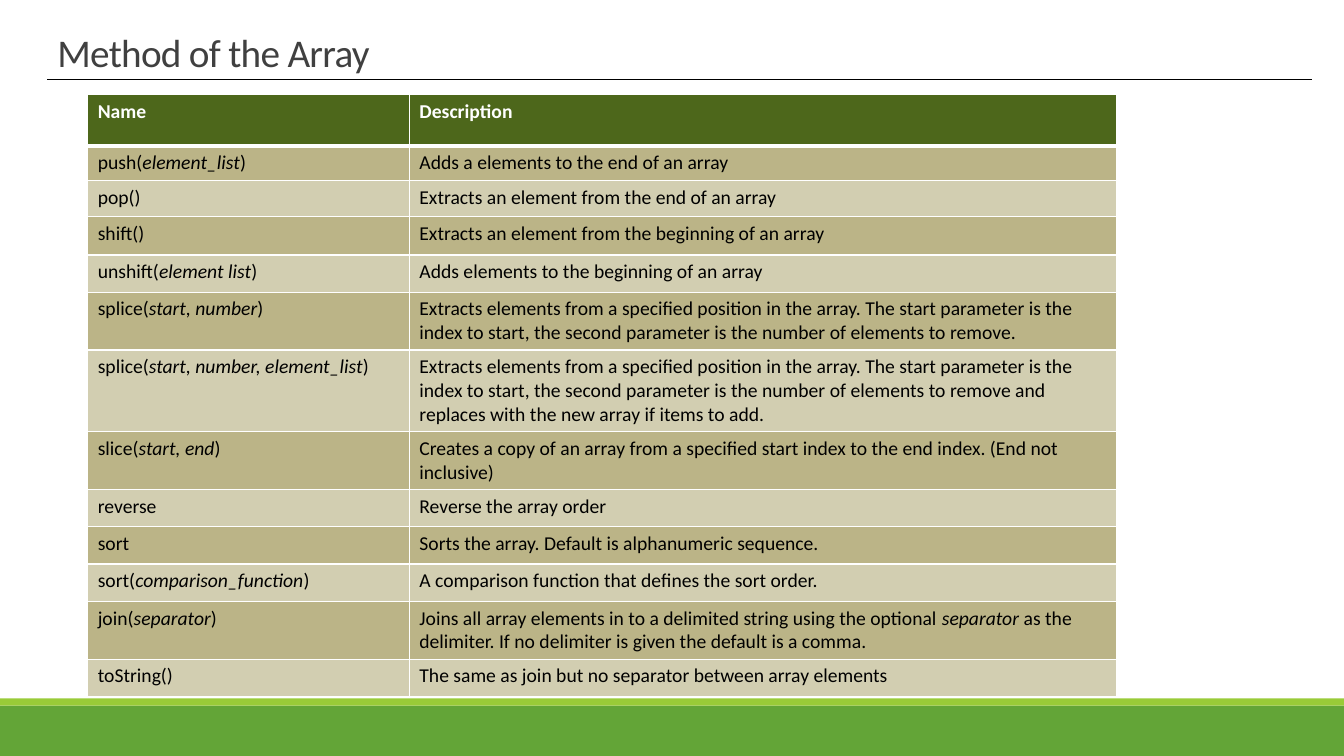
from lxml.etree import SubElement
from pptx import Presentation
from pptx.dml.color import RGBColor
from pptx.enum.shapes import MSO_CONNECTOR as Connector, MSO_SHAPE as Shape
from pptx.enum.text import MSO_ANCHOR as Anchor, MSO_AUTO_SIZE as AutoSize, PP_ALIGN as Align
from pptx.oxml import parse_xml
from pptx.oxml.ns import nsdecls, qn
from pptx.util import Inches, Pt

WHITE = RGBColor(0xFF, 0xFF, 0xFF)
BLACK = RGBColor(0x00, 0x00, 0x00)
TITLE_GRAY = RGBColor(0x40, 0x40, 0x40)
GREEN = RGBColor(0x63, 0xA5, 0x37)
LIME = RGBColor(0x99, 0xCB, 0x38)
HEADER_GREEN = RGBColor(0x4D, 0x67, 0x1B)
DARK_BAND = RGBColor(0xBB, 0xB4, 0x87)
LIGHT_BAND = RGBColor(0xD2, 0xCE, 0xB1)

COLUMN_WIDTHS = [3.19, 7.01]
# Row height, name, description; text between asterisks is italic.
ROWS = [
    (0.51, "Name", "Description"),
    (0.34, "push(*element_list*)", "Adds a elements to the end of an array"),
    (0.36, "pop()", "Extracts an element from the end of an array"),
    (0.38, "shift()", "Extracts an element from the beginning of an array"),
    (0.37, "unshift(*element list*)", "Adds elements to the beginning of an array"),
    (0.35, "splice(*start, number*)",
     "Extracts elements from a specified position in the array. The start parameter is the "
     "index to start, the second parameter is the number of elements to remove."),
    (0.35, "splice(*start, number, element_list*)",
     "Extracts elements from a specified position in the array. The start parameter is the "
     "index to start, the second parameter is the number of elements to remove and "
     "replaces with the new array if items to add."),
    (0.37, "slice(*start, end*)",
     "Creates a copy of an array from a specified start index to the end index. "
     "(End not inclusive)"),
    (0.37, "reverse", "Reverse the array order"),
    (0.37, "sort", "Sorts the array. Default is alphanumeric sequence."),
    (0.37, "sort(*comparison_function*)", "A comparison function that defines the sort order."),
    (0.37, "join(*separator*)",
     "Joins all array elements in to a delimited string using the optional *separator* as the "
     "delimiter. If no delimiter is given the default is a comma."),
    (0.37, "toString()", "The same as join but no separator between array elements"),
]


def add_span(para, text, color, **formats):
    span = para.add_run()
    span.text = text
    span.font.color.rgb = color
    for name, value in {"name": "Calibri", **formats}.items():
        setattr(span.font, name, value)
    return span


def add_borders(cell, widths):
    """Give the cell white borders, with widths in points by side letter."""
    properties = cell._tc.get_or_add_tcPr()
    for side, width in widths.items():
        properties.append(parse_xml(
            f'<a:ln{side} {nsdecls("a")} w="{Pt(width)}"><a:solidFill>'
            f'<a:srgbClr val="{WHITE}"/></a:solidFill></a:ln{side}>'))


deck = Presentation()
deck.slide_width, deck.slide_height = Inches(13.33), Inches(7.5)
page = deck.slides.add_slide(deck.slide_layouts[5])

for top, height, color in [(7, 0.5, GREEN), (6.93, 0.07, LIME)]:
    band = page.shapes.add_shape(
        Shape.RECTANGLE, 0, Inches(top), deck.slide_width, Inches(height))
    band.shadow.inherit = False
    band.fill.solid()
    band.fill.fore_color.rgb = color
    band.line.fill.background()

title = page.shapes.title
title.left, title.top = Inches(0.47), Inches(-0.79)
title.width, title.height = Inches(11), Inches(1.59)
frame = title.text_frame
frame.auto_size = AutoSize.NONE
frame.vertical_anchor = Anchor.BOTTOM
para = frame.paragraphs[0]
para.alignment = Align.LEFT
para.line_spacing = 0.85
span = add_span(para, "Method of the Array", TITLE_GRAY, size=Pt(28))
span._r.get_or_add_rPr().set("spc", "-50")

rule = page.shapes.add_connector(
    Connector.STRAIGHT, Inches(0.47), Inches(0.79), Inches(13.01), Inches(0.79))
rule.line.color.rgb = BLACK
rule.line.width = Pt(1)
SubElement(rule._element.spPr, qn("a:effectLst"))

table = page.shapes.add_table(
    len(ROWS), len(COLUMN_WIDTHS), Inches(0.87), Inches(0.94),
    Inches(sum(COLUMN_WIDTHS)), Inches(sum(row[0] for row in ROWS))).table
for column, width in zip(table.columns, COLUMN_WIDTHS):
    column.width = Inches(width)

for row_index, (height, *texts) in enumerate(ROWS):
    table.rows[row_index].height = Inches(height)
    is_header = row_index == 0
    if is_header:
        fill_color = HEADER_GREEN
    else:
        fill_color = DARK_BAND if row_index % 2 else LIGHT_BAND
    for column_index, text in enumerate(texts):
        cell = table.cell(row_index, column_index)
        add_borders(cell, {"L": 1, "R": 1, "T": 3 if row_index == 1 else 1,
                           "B": 3 if is_header else 1})
        cell.fill.solid()
        cell.fill.fore_color.rgb = fill_color
        para = cell.text_frame.paragraphs[0]
        for part_index, part in enumerate(text.split("*")):
            add_span(para, part, WHITE if is_header else BLACK, size=Pt(14),
                     bold=is_header, italic=part_index % 2 == 1)

deck.save("out.pptx")
